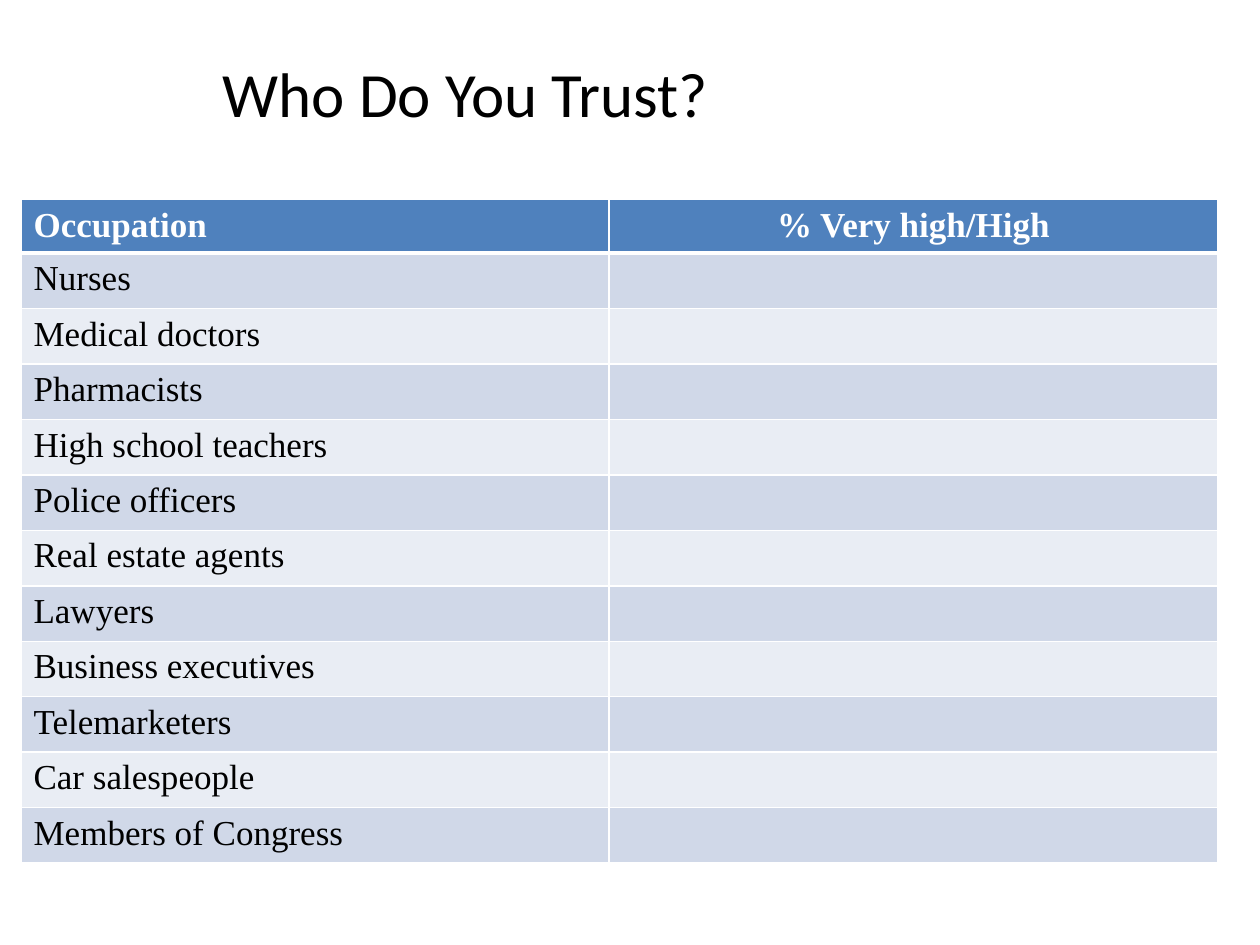
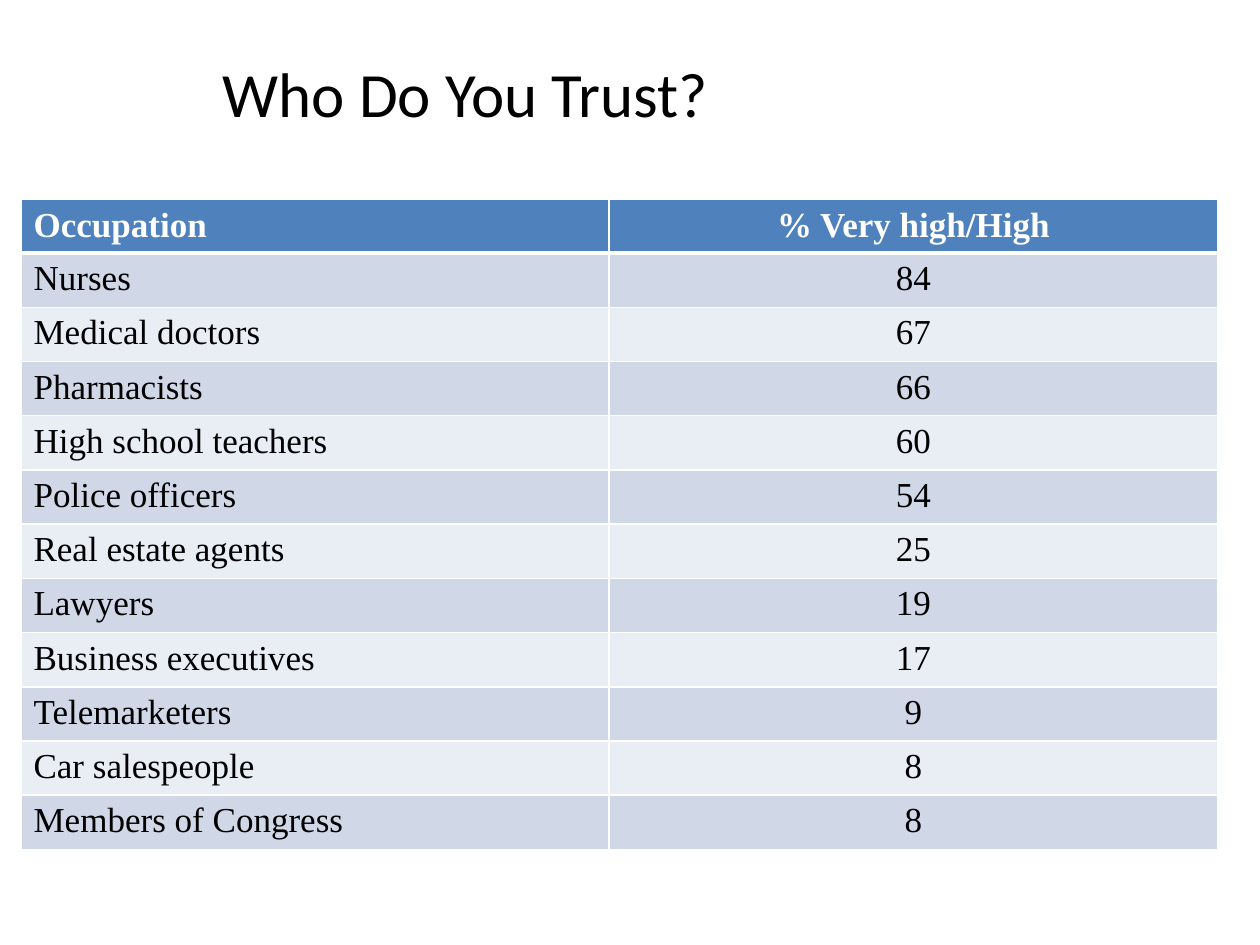
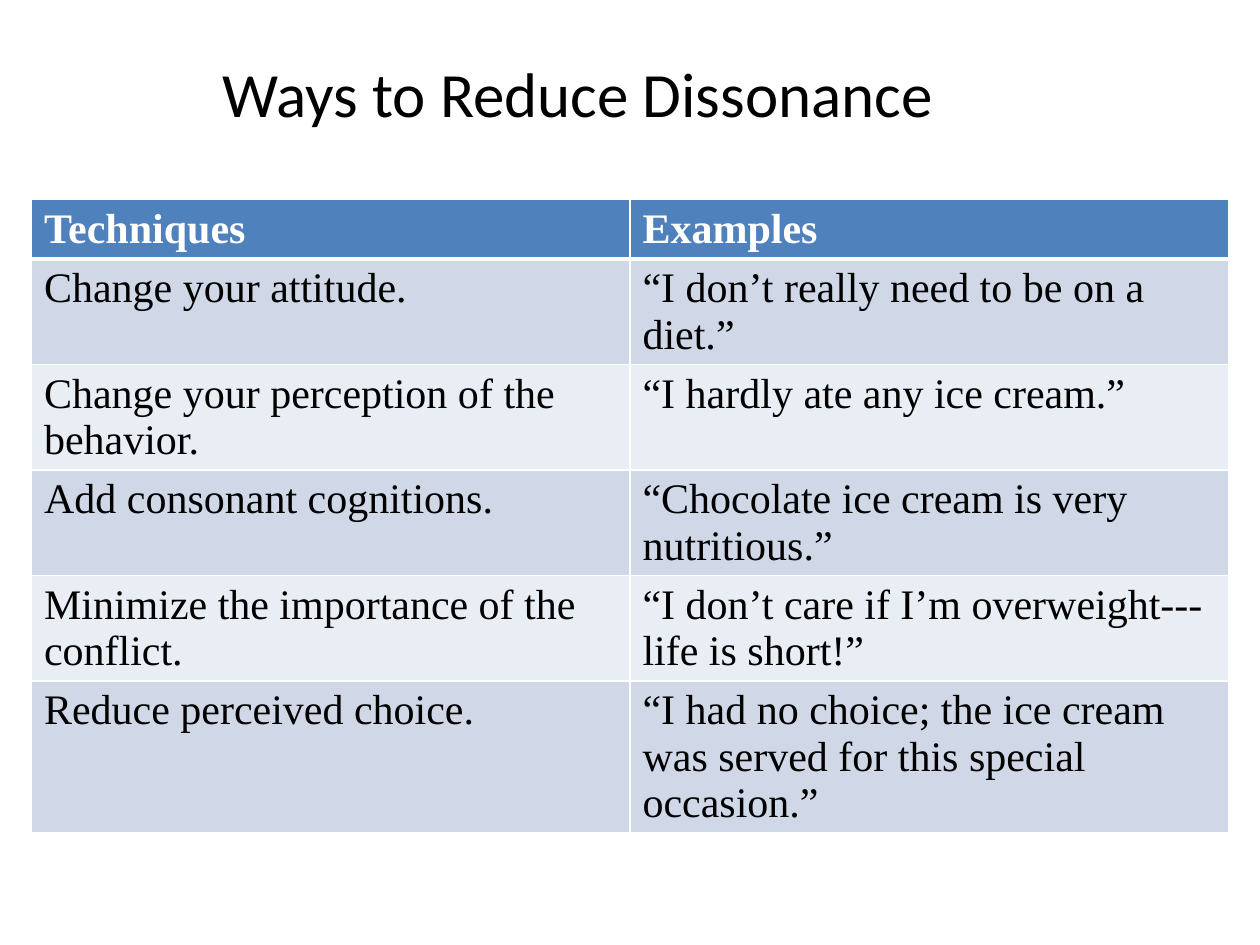
from dataclasses import dataclass

from lxml.etree import SubElement
from pptx import Presentation
from pptx.dml.color import RGBColor
from pptx.enum.text import MSO_ANCHOR, MSO_AUTO_SIZE, PP_ALIGN as Align
from pptx.oxml.ns import qn
from pptx.util import Pt


@dataclass(frozen=True)
class Theme:
    title_font: str = "Calibri"
    table_font: str = "Times New Roman"
    title_size: float = 36
    title_leading: float = 34
    poll_size: float = 20
    technique_size: float = 24
    ink: str = "000000"
    paper: str = "FFFFFF"
    header: str = "4F81BD"
    bands: tuple = ("D0D8E8", "E9EDF4")
    rule: float = 1
    header_rule: float = 3


class Deck:
    def __init__(self, theme):
        self.theme = theme
        self.deck = Presentation()
        self.deck.slide_width, self.deck.slide_height = Pt(720), Pt(540)
        self.page = None

    def add_page(self, title):
        theme = self.theme
        self.page = self.deck.slides.add_slide(self.deck.slide_layouts[5])
        box = self.page.shapes.title
        box.left, box.top, box.width, box.height = Pt(120), Pt(0), Pt(564), Pt(78)
        frame = box.text_frame
        frame.word_wrap = True
        frame.auto_size = MSO_AUTO_SIZE.NONE
        frame.vertical_anchor = MSO_ANCHOR.BOTTOM
        para = frame.paragraphs[0]
        para.line_spacing = Pt(theme.title_leading)
        self.add_text(para, title, theme.title_font, theme.title_size, theme.ink)

    def add_text(self, para, text, font, size, color, bold=False, align=Align.LEFT):
        para.alignment = align
        span = para.add_run()
        span.text = text
        span.font.name = font
        span.font.size = Pt(size)
        span.font.bold = bold
        span.font.color.rgb = RGBColor.from_string(color)

    def add_borders(self, cell, top, bottom):
        properties = cell._tc.get_or_add_tcPr()
        rule = self.theme.rule
        for side, width in zip("LRTB", (rule, rule, top, bottom)):
            line = SubElement(properties, qn(f"a:ln{side}"), w=str(Pt(width)))
            fill = SubElement(line, qn("a:solidFill"))
            SubElement(fill, qn("a:srgbClr"), val=self.theme.paper)

    def add_table(self, rows, left, widths, heights, size, aligns):
        theme = self.theme
        table = self.page.shapes.add_table(
            len(rows), len(widths), Pt(left), Pt(114), Pt(sum(widths)), Pt(sum(heights))
        ).table
        table.horz_banding = False
        for column, width in zip(table.columns, widths):
            column.width = Pt(width)
        for index, (row, height, texts) in enumerate(zip(table.rows, heights, rows)):
            row.height = Pt(height)
            is_header = index == 0
            fill = theme.header if is_header else theme.bands[(index - 1) % 2]
            color = theme.paper if is_header else theme.ink
            top = theme.header_rule if index == 1 else theme.rule
            bottom = theme.header_rule if is_header else theme.rule
            for cell, text, align in zip(row.cells, texts, aligns):
                self.add_borders(cell, top, bottom)
                cell.fill.solid()
                cell.fill.fore_color.rgb = RGBColor.from_string(fill)
                if text:
                    self.add_text(cell.text_frame.paragraphs[0], text, theme.table_font,
                                  size, color, is_header, align)

    def add_poll(self, ratings, row_height):
        self.add_page("Who Do You Trust?")
        rows = [("Occupation", "% Very high/High"), *ratings]
        heights = [30.6] + [row_height] * len(ratings)
        self.add_table(rows, 12, (336, 348), heights, self.theme.poll_size,
                       (Align.LEFT, Align.CENTER))

    def add_techniques(self, techniques):
        self.add_page("Ways to Reduce Dissonance")
        rows = [("Techniques", "Examples"), *techniques]
        heights = [34] + [60.3] * (len(techniques) - 1) + [86]
        self.add_table(rows, 18, (342, 342), heights, self.theme.technique_size,
                       (Align.LEFT, Align.LEFT))


RATINGS = [
    ("Nurses", "84"),
    ("Medical doctors", "67"),
    ("Pharmacists", "66"),
    ("High school teachers", "60"),
    ("Police officers", "54"),
    ("Real estate agents", "25"),
    ("Lawyers", "19"),
    ("Business executives", "17"),
    ("Telemarketers", "9"),
    ("Car salespeople", "8"),
    ("Members of Congress", "8"),
]

TECHNIQUES = [
    ("Change your attitude.", "“I don’t really need to be on a diet.”"),
    ("Change your perception of the behavior.", "“I hardly ate any ice cream.”"),
    ("Add consonant cognitions.", "“Chocolate ice cream is very nutritious.”"),
    ("Minimize the importance of the conflict.",
     "“I don’t care if I’m overweight---life is short!”"),
    ("Reduce perceived choice.",
     "“I had no choice; the ice cream was served for this special occasion.”"),
]


def main():
    show = Deck(Theme())
    show.add_poll([(occupation, "") for occupation, _ in RATINGS], 31.7)
    show.add_poll(RATINGS, 31)
    show.add_techniques(TECHNIQUES)
    show.deck.save("out.pptx")


if __name__ == "__main__":
    main()
